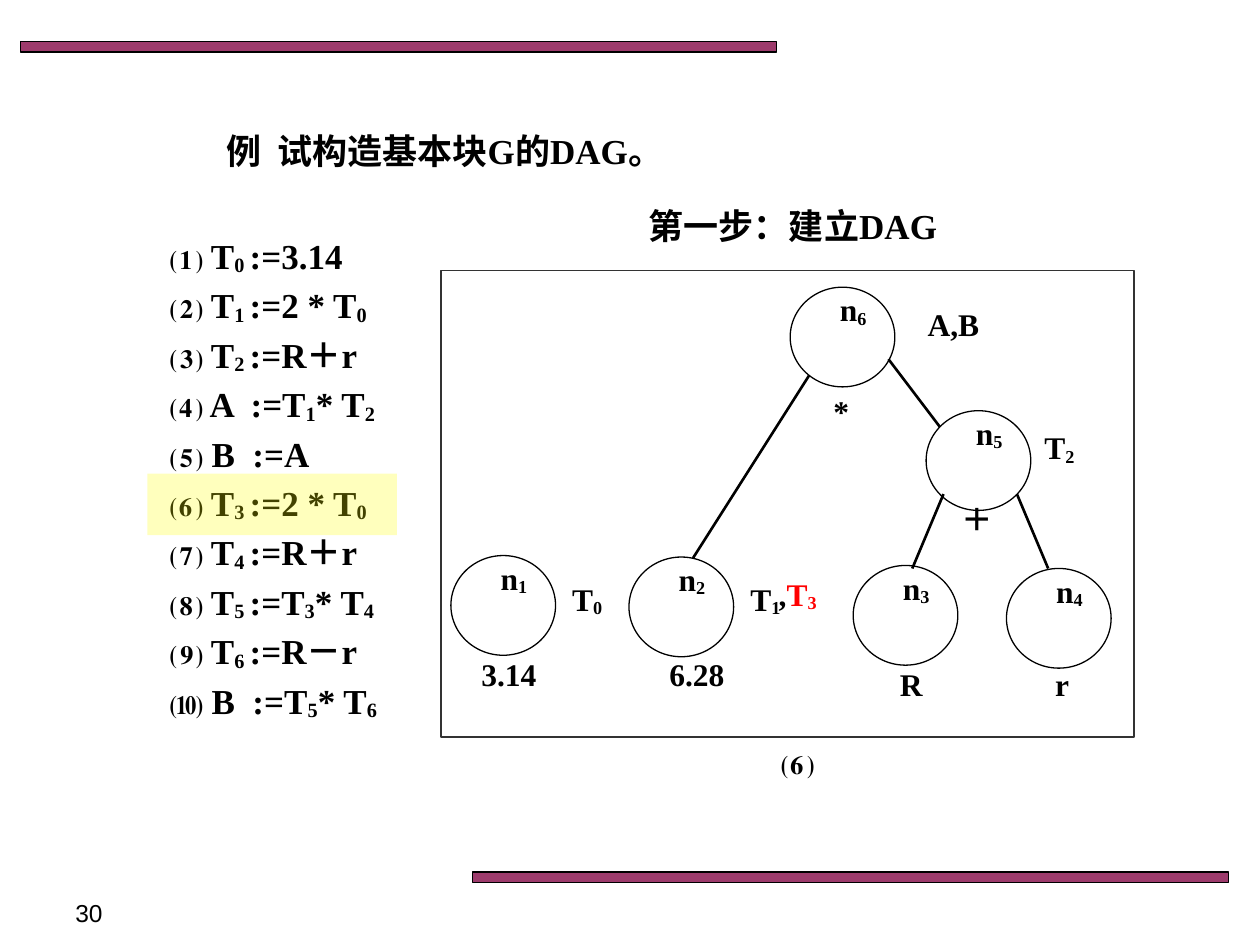
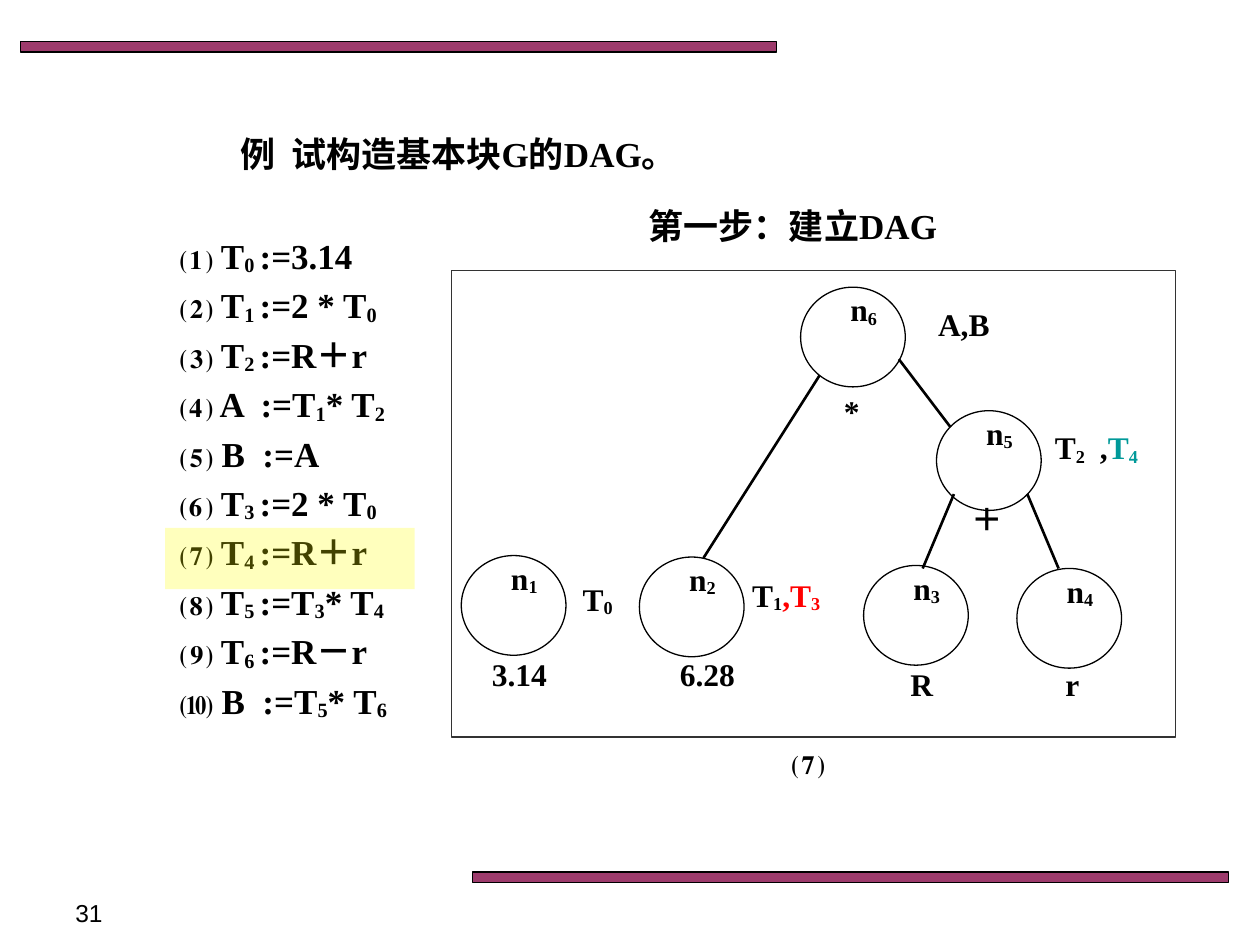
import pptx
import pptx.util
import pptx.dml.color
import pptx.enum.shapes
import pptx.enum.text
import pptx.oxml
from pptx.oxml.ns import qn
from lxml import etree

Cm, Pt = pptx.util.Cm, pptx.util.Pt
MSO = pptx.enum.shapes.MSO_SHAPE
ALIGN = pptx.enum.text.PP_ALIGN

BLACK, PLUM, YELLOW, GREY = "000000", "993366", "FFFF00", "333333"
RED, TEAL = "FF0000", "009999"
SERIF, SANS = "Times New Roman", "Arial"

# In all texts "_" lowers the next character, "|" starts the accent colour.
TITLE = "例  试构造基本块G的DAG。"
HEADING = "第一步：建立DAG"
STATEMENTS = [
    "⑴ T_0 :=3.14",
    "⑵ T_1 :=2 * T_0",
    "⑶ T_2 :=R＋r",
    "⑷ A  :=T_1* T_2",
    "⑸ B  :=A",
    "⑹ T_3 :=2 * T_0",
    "⑺ T_4 :=R＋r",
    "⑻ T_5 :=T_3* T_4",
    "⑼ T_6 :=R－r",
    "⑽ B  :=T_5* T_6",
]

# All lengths are in cm; x values of the graph count from the frame's left edge.
BARS = [(0.42, 0.84), (9.53, 17.58)]
FRAME_TOP, FRAME_HEIGHT = 5.46, 9.4
NODE_WIDTH, NODE_HEIGHT = 2.11, 2.01
# name, left, top, then text under the node: centre and top from node, width
NODES = [
    ("n_1", 0.2, 11.2, "3.14", 1.17, 1.88, 2.34),
    ("n_2", 3.79, 11.23, "6.28", 1.37, 1.85, 2.34),
    ("n_3", 8.31, 11.4, "R", 1.17, 1.88, 1.73),
    ("n_4", 11.4, 11.46, "r", 1.12, 1.83, 2.34),
    ("n_5", 9.78, 8.28, "＋", 1.03, 1.68, 1.47),
    ("n_6", 7.04, 5.79, "*", 1.03, 1.98, 1.47),
]
EDGES = [
    (7.42, 7.57, 5.08, 11.25),
    (9.02, 7.24, 10.06, 8.61),
    (10.13, 9.96, 9.5, 11.46),
    (11.61, 9.96, 12.24, 11.46),
]
# text, centre, top, width, accent
LABELS = [
    ("T_0", 2.95, 11.56, 1.47, BLACK),
    ("A,B", 10.33, 6.02, 2.67, BLACK),
    ("T_2", 12.47, 8.51, 1.47, BLACK),
]
STEPS = [
    dict(page="30", caption="⑹", title=(2.54, 2.49), list_left=3.18,
         highlight=(2.97, 9.55), frame_left=8.89, frame_width=13.97,
         labels=[("T_1", 6.54, 11.56, 1.3, BLACK),
                 (",|T_3", 7.19, 11.46, 1.57, RED)]),
    dict(page="31", caption="⑺", title=(2.82, 2.54), list_left=3.38,
         highlight=(3.33, 10.64), frame_left=9.1, frame_width=14.6,
         labels=[("T_1|,T_3", 6.75, 11.48, 2.59, RED),
                 ("_ ,|T_4", 13.41, 8.51, 1.6, TEAL)]),
]


def rgb(color):
    return pptx.dml.color.RGBColor.from_string(color)


def split_runs(text):
    """Yield (text, lowered) pieces; a space after a lowered sign is lowered too."""
    plain, *rest = text.split("_")
    pieces = [(plain, False)]
    for part in rest:
        n = 2 if part[1:2] == " " else 1
        pieces += [(part[:n], True), (part[n:], False)]
    return [piece for piece in pieces if piece[0]]


def add_text(s, text, left, top, width, height, size=18, font=SERIF, bold=True,
             align=ALIGN.CENTER, accent=BLACK, before=0):
    """Add a text box; before is paragraph spacing in percent of a line."""
    tf = s.shapes.add_textbox(Cm(left), Cm(top), Cm(width), Cm(height)).text_frame
    tf.word_wrap = True
    for i, line in enumerate(text.split("\n")):
        p = tf.add_paragraph() if i else tf.paragraphs[0]
        p.alignment = align
        if before:
            spacing = etree.SubElement(p._p.get_or_add_pPr(), qn("a:spcBef"))
            etree.SubElement(spacing, qn("a:spcPct")).set("val", str(before * 1000))
        for part, color in zip(line.split("|"), (BLACK, accent)):
            for piece, lowered in split_runs(part):
                r = p.add_run()
                r.text = piece
                r.font.size, r.font.name, r.font.bold = Pt(size), font, bold
                r.font.color.rgb = rgb(color)
                if lowered:
                    r._r.get_or_add_rPr().set("baseline", "-10000")


def add_shape(s, kind, left, top, width, height, fill=None, alpha=100, line=None):
    sp = s.shapes.add_shape(kind, Cm(left), Cm(top), Cm(width), Cm(height))
    sp.shadow.inherit = False
    if fill:
        sp.fill.solid()
        sp.fill.fore_color.rgb = rgb(fill)
        color = sp._element.spPr.find(qn("a:solidFill"))[0]
        etree.SubElement(color, qn("a:alpha")).set("val", str(alpha * 1000))
    else:
        sp.fill.background()
    if line:
        sp.line.color.rgb = rgb(line)
        sp.line.width = Pt(0.75)
    else:
        sp.line.fill.background()


def add_edge(s, x1, y1, x2, y2):
    edge = s.shapes.add_connector(pptx.enum.shapes.MSO_CONNECTOR.STRAIGHT,
                                  Cm(x1), Cm(y1), Cm(x2), Cm(y2))
    edge.line.color.rgb = rgb(BLACK)
    edge.line.width = Pt(1.5)
    etree.SubElement(edge._element.spPr, qn("a:effectLst"))


def add_base(s, page):
    for left, top in BARS:
        add_shape(s, MSO.RECTANGLE, left, top, 15.24, 0.21, PLUM, 96, BLACK)
    add_text(s, page, 1.27, 17.98, 5.92, 0.69, size=14, font=SANS, bold=False,
             align=ALIGN.LEFT)


def add_graph(s, x0, width, caption, labels):
    add_shape(s, MSO.RECTANGLE, x0, FRAME_TOP, width, FRAME_HEIGHT, line=GREY)
    add_text(s, caption, x0 + 6.35, 14.78, 1.69, 1.09, size=20)
    for name, left, top, sign, dx, dy, sign_width in NODES:
        x = x0 + left
        add_shape(s, MSO.OVAL, x, top, NODE_WIDTH, NODE_HEIGHT, line=BLACK)
        add_text(s, name, x + 0.29, top - 0.06, 1.96, 1.27)
        add_text(s, sign, x + dx - sign_width / 2, top + dy, sign_width, 1.27)
    for x1, y1, x2, y2 in EDGES:
        add_edge(s, x0 + x1, y1, x0 + x2, y2)
    for text, centre, top, label_width, accent in labels:
        add_text(s, text, x0 + centre - label_width / 2, top, label_width, 1.02,
                 accent=accent)


def add_step(prs, step):
    s = prs.slides.add_slide(prs.slide_layouts[6])
    add_base(s, step["page"])
    add_text(s, TITLE, *step["title"], 12.85, 1.09, size=20)
    add_text(s, HEADING, 9.1, 3.99, 13.77, 1.09, size=20)
    add_text(s, "\n".join(STATEMENTS), step["list_left"], 4.6, 6.15, 10.34, size=20,
             align=ALIGN.LEFT, before=20)
    add_graph(s, step["frame_left"], step["frame_width"], step["caption"],
              LABELS + step["labels"])
    add_shape(s, MSO.RECTANGLE, *step["highlight"], 5.03, 1.24, YELLOW, 26)


def main():
    prs = pptx.Presentation()
    prs.slide_width, prs.slide_height = Cm(25.4), Cm(19.05)
    for step in STEPS:
        add_step(prs, step)
    prs.save("out.pptx")


if __name__ == "__main__":
    main()
